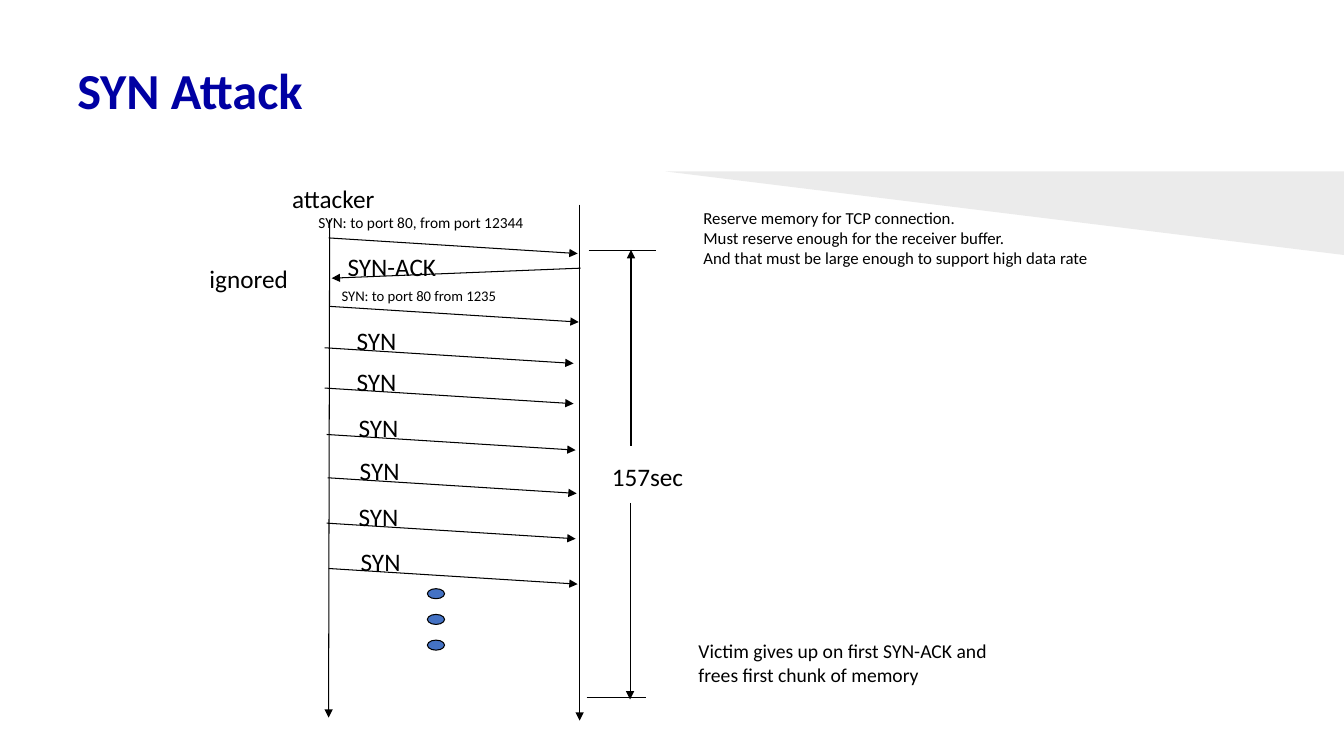
import pptx
import pptx.util
import pptx.dml.color
import pptx.enum.shapes
import pptx.enum.text
import pptx.oxml.ns
from lxml import etree

RGB = pptx.dml.color.RGBColor
BLACK = RGB(0x00, 0x00, 0x00)
NAVY = RGB(0x00, 0x00, 0xA3)
BLUE = RGB(0x44, 0x72, 0xC4)
FONT = "Calibri"
WIDE = pptx.util.Inches(13.333)
HIGH = pptx.util.Inches(7.5)
RUN, DROP = 18.53, 2.07  # span of one SYN arrow


# Positions are percent shares of the slide's width and height
def col(share):
    return round(WIDE * share / 100)


def row(share):
    return round(HIGH * share / 100)


def box(left, top, width, height):
    return col(left), row(top), col(width), row(height)


def add_sub(node, tag, **attrs):
    return etree.SubElement(node, pptx.oxml.ns.qn(tag), **attrs)


def style(par, size, color=BLACK, bold=False):
    par.font.name = FONT
    par.font.size = pptx.util.Pt(size)
    par.font.color.rgb = color
    par.font.bold = bold


def add_text(slide, text, place, size=18, wrap=False):
    frame = slide.shapes.add_textbox(*box(*place)).text_frame
    frame.word_wrap = wrap
    frame.text = text
    for par in frame.paragraphs:
        style(par, size)


def add_line(slide, start, end, arrow=True):
    kind = pptx.enum.shapes.MSO_CONNECTOR.STRAIGHT
    line = slide.shapes.add_connector(
        kind, col(start[0]), row(start[1]), col(end[0]), row(end[1]))
    line.line.color.rgb = BLACK
    line.line.width = pptx.util.Pt(0.75)
    if arrow:
        add_sub(line.line._get_or_add_ln(), "a:tailEnd", type="triangle")
    add_sub(line._element.spPr, "a:effectLst")


def add_syn(slide, left, top, text="SYN", shift=(1.65, -3.6),
            extent=(4.5, 5.33), size=18):
    add_line(slide, (left, top), (left + RUN, top + DROP))
    add_text(slide, text, (left + shift[0], top + shift[1], *extent), size)


def add_dot(slide, left, top):
    kind = pptx.enum.shapes.MSO_SHAPE.OVAL
    dot = slide.shapes.add_shape(kind, *box(left, top, 1.28, 1.33))
    dot.shadow.inherit = False
    dot.fill.solid()
    dot.fill.fore_color.rgb = BLUE
    dot.line.color.rgb = BLACK
    dot.line.width = pptx.util.Pt(0.75)


def add_wedge(slide):
    pen = slide.shapes.build_freeform(col(49.5), row(22.67))
    pen.add_line_segments([(col(100), row(22.67)), (col(100), row(33.73))])
    wedge = pen.convert_to_shape()
    wedge.shadow.inherit = False
    wedge.line.fill.background()
    wedge.fill.solid()
    wedge.fill.fore_color.rgb = BLACK
    tone = wedge._element.spPr.find(".//" + pptx.oxml.ns.qn("a:srgbClr"))
    add_sub(tone, "a:alpha", val="8000")


def set_title(slide, text):
    title = slide.shapes.title
    title.left, title.top, title.width, title.height = box(5, 4, 90, 16.67)
    frame = title.text_frame
    frame.text = text
    frame.vertical_anchor = pptx.enum.text.MSO_ANCHOR.MIDDLE
    par = frame.paragraphs[0]
    par.alignment = pptx.enum.text.PP_ALIGN.LEFT
    par.line_spacing = 0.9
    style(par, 36, NAVY, True)


def main():
    deck = pptx.Presentation()
    deck.slide_width, deck.slide_height = WIDE, HIGH
    slide = deck.slides.add_slide(deck.slide_layouts[5])
    add_wedge(slide)
    set_title(slide, "SYN Attack")

    # Time lines of attacker and victim
    add_line(slide, (24.53, 29.07), (24.45, 94.93))
    add_line(slide, (43.13, 27.07), (43.13, 95.33))
    add_text(slide, "attacker", (21, 23.6, 7.73, 5.33))

    # First exchange
    add_syn(slide, 24.45, 31.47, "SYN: to port 80, from port 12344",
            (-1.5, -4), (16.95, 3.87), 11)
    add_line(slide, (43.2, 35.47), (24.68, 36.8))
    add_text(slide, "ignored", (14.85, 34.13, 7.43, 5.33))
    add_text(slide, "SYN-ACK", (25.13, 32.53, 8.18, 5.33))
    add_syn(slide, 24.53, 40.53, "SYN: to port 80 from 1235",
            (0.15, -3.2), (13.28, 3.73), 10.5)

    # Flood of further SYNs
    for left, top in ((24.15, 46), (24.15, 51.33), (24.3, 57.47),
                      (24.38, 63.2), (24.3, 69.2), (24.45, 75.2)):
        add_syn(slide, left, top)
    for step in range(3):
        add_dot(slide, 31.8, 77.87 + 3.4 * step)

    # Time span
    add_text(slide, "157sec", (44.78, 60.4, 6.9, 5.33))
    add_line(slide, (43.8, 33.2), (48.83, 33.2), arrow=False)
    add_line(slide, (43.65, 92.27), (48.08, 92.27), arrow=False)
    add_line(slide, (46.88, 66.53), (46.88, 92.53))
    add_line(slide, (46.95, 58.93), (46.95, 33.07))

    # Notes on the victim's memory
    add_text(slide, "Reserve memory for TCP connection.\n"
             "Must reserve enough for the receiver buffer.\n"
             "And that must be large enough to support high data rate",
             (51.6, 26.8, 30.38, 9.47), 12)
    add_text(slide, "Victim gives up on first SYN-ACK and "
             "frees first chunk of memory",
             (51.23, 83.87, 25.28, 7.6), 14, wrap=True)
    deck.save("out.pptx")


if __name__ == "__main__":
    main()
